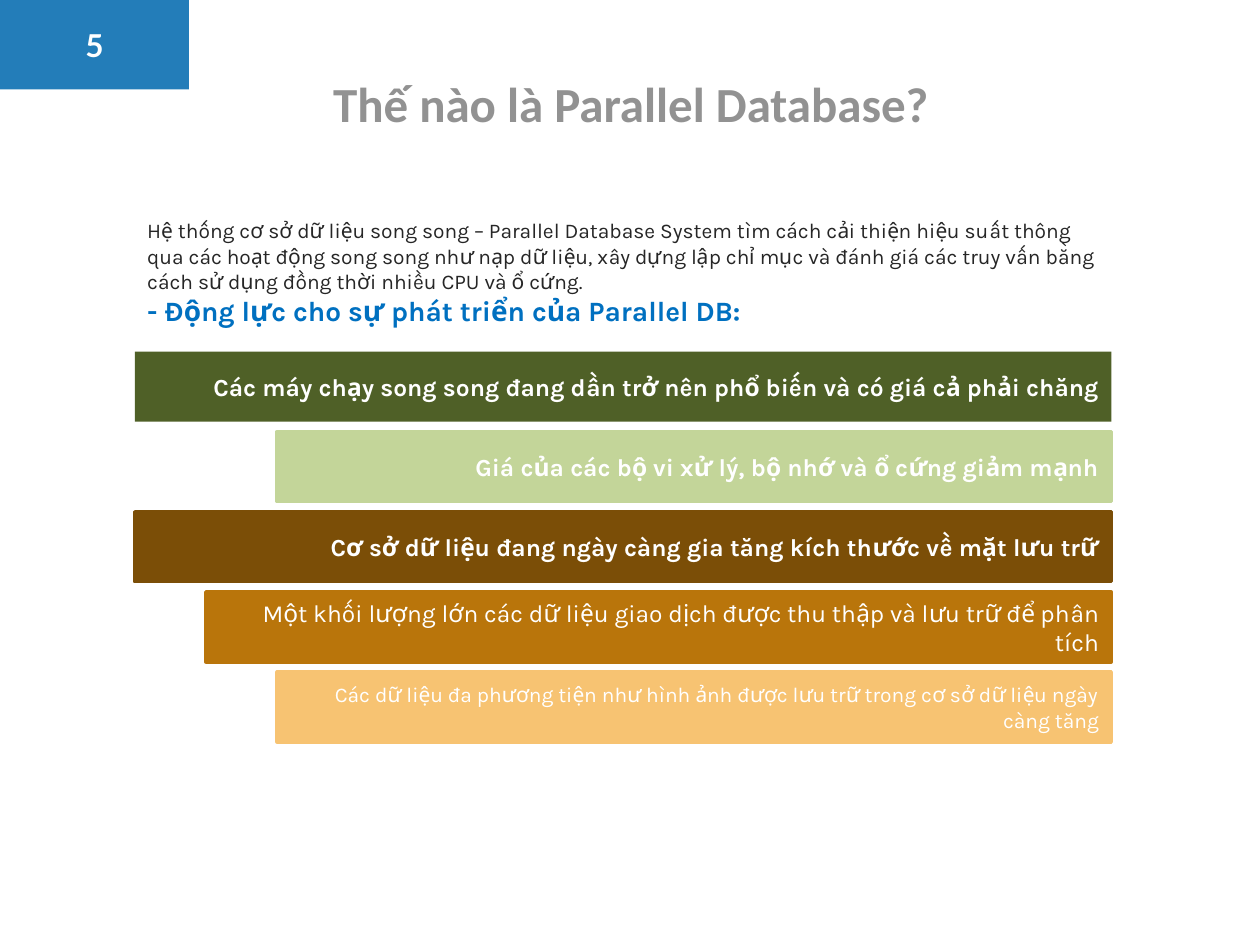
from dataclasses import dataclass

from pptx import Presentation
from pptx.dml.color import RGBColor
from pptx.enum.shapes import MSO_SHAPE
from pptx.enum.text import MSO_ANCHOR, PP_ALIGN
from pptx.util import Inches, Pt

RECT = MSO_SHAPE.RECTANGLE
MIDDLE, TOP = MSO_ANCHOR.MIDDLE, MSO_ANCHOR.TOP
LEFT, CENTER, RIGHT = PP_ALIGN.LEFT, PP_ALIGN.CENTER, PP_ALIGN.RIGHT
TITLE_ONLY = 5


@dataclass(frozen=True)
class Theme:
    heading_font: str = "Calibri"
    body_font: str = "Karla"
    number_font: str = "Lato"
    title_size: int = 28
    number_size: int = 18
    lead_size: int = 16
    bar_size: int = 14
    small_size: int = 12
    title: str = "929292"
    text: str = "262626"
    lead: str = "0070C0"
    white: str = "FFFFFF"
    badge: str = "237DB9"
    dark_green: str = "4F6027"
    light_green: str = "C3D599"
    dark_brown: str = "7B4E07"
    brown: str = "B9750B"
    light_brown: str = "F7C372"


THEME = Theme()

# text, indent level, fill, type size, bold, outline width
BARS = [
    ("Các máy chạy song song đang dần trở nên phổ biến và có giá cả phải chăng",
     0, THEME.dark_green, THEME.bar_size, True, 0),
    ("Giá của các bộ vi xử lý, bộ nhớ và ổ cứng giảm mạnh",
     2, THEME.light_green, THEME.bar_size, True, 2),
    ("Cơ sở dữ liệu đang ngày càng gia tăng kích thước về mặt lưu trữ",
     0, THEME.dark_brown, THEME.bar_size, True, 2),
    ("Một khối lượng lớn các dữ liệu giao dịch được thu thập và lưu trữ để phân tích",
     1, THEME.brown, THEME.bar_size, False, 2),
    ("Các dữ liệu đa phương tiện như hình ảnh được lưu trữ trong cơ sở dữ liệu ngày càng tăng",
     2, THEME.light_brown, THEME.small_size, False, 2),
]


def set_frame(tf, anchor, margin=None):
    tf.word_wrap = True
    tf.vertical_anchor = anchor
    if margin is not None:
        for side in ("left", "top", "right", "bottom"):
            setattr(tf, f"margin_{side}", Inches(margin))


def write(p, text, font, size, color, bold=False, align=LEFT):
    p.alignment = align
    r = p.add_run()
    r.text = text
    for name, value in {"name": font, "size": Pt(size), "bold": bold}.items():
        setattr(r.font, name, value)
    r.font.color.rgb = RGBColor.from_string(color)


def add_rect(s, box, color, outline=0):
    sp = s.shapes.add_shape(RECT, *map(Inches, box))
    sp.shadow.inherit = False
    sp.fill.solid()
    sp.fill.fore_color.rgb = RGBColor.from_string(color)
    if outline:
        sp.line.color.rgb = RGBColor.from_string(color)
        sp.line.width = Pt(outline)
    else:
        sp.line.fill.background()
    return sp


def add_number_badge(s, box, number):
    tf = add_rect(s, box, THEME.badge).text_frame
    set_frame(tf, MIDDLE, 0)
    write(tf.paragraphs[0], number, THEME.number_font, THEME.number_size,
          THEME.white, True, CENTER)


def add_title(s, box, text):
    sp = s.shapes.title
    sp.left, sp.top, sp.width, sp.height = map(Inches, box)
    set_frame(sp.text_frame, MIDDLE, 0)
    write(sp.text_frame.paragraphs[0], text, THEME.heading_font,
          THEME.title_size, THEME.title, True, CENTER)


def add_intro(s, box, text, lead):
    tf = s.shapes.add_textbox(*map(Inches, box)).text_frame
    set_frame(tf, TOP)
    write(tf.paragraphs[0], text, THEME.body_font, THEME.small_size, THEME.text)
    write(tf.add_paragraph(), lead, THEME.body_font, THEME.lead_size, THEME.lead, True)


def add_bars(s, box, bars, gap=0.08, indent=0.565):
    """Stack equal bars that share a right edge and step in by level."""
    left, top, width, height = box
    bar_height = (height - gap * (len(bars) - 1)) / len(bars)
    for i, (text, level, color, size, bold, outline) in enumerate(bars):
        inset = level * indent
        bar_box = (left + inset, top + i * (bar_height + gap), width - inset, bar_height)
        tf = add_rect(s, bar_box, color, outline).text_frame
        set_frame(tf, MIDDLE)
        write(tf.paragraphs[0], text, THEME.body_font, size, THEME.white, bold, RIGHT)


def main():
    prs = Presentation()
    prs.slide_width, prs.slide_height = Inches(10), Inches(7.5)
    s = prs.slides.add_slide(prs.slide_layouts[TITLE_ONLY])
    add_number_badge(s, (0, 0, 1.5, 0.71), "5")
    add_title(s, (1.92, 0.56, 6.17, 0.52), "Thế nào là Parallel Database?")
    add_intro(
        s, (1.07, 1.68, 7.75, 0.98),
        "Hệ thống cơ sở dữ liệu song song – Parallel Database System tìm cách cải thiện "
        "hiệu suất thông qua các hoạt động song song như nạp dữ liệu, xây dựng lập chỉ mục "
        "và đánh giá các truy vấn bằng cách sử dụng đồng thời nhiều CPU và ổ cứng.",
        "- Động lực cho sự phát triển của Parallel DB:")
    add_bars(s, (1.07, 2.79, 7.75, 3.1), BARS)
    prs.save("out.pptx")


if __name__ == "__main__":
    main()
